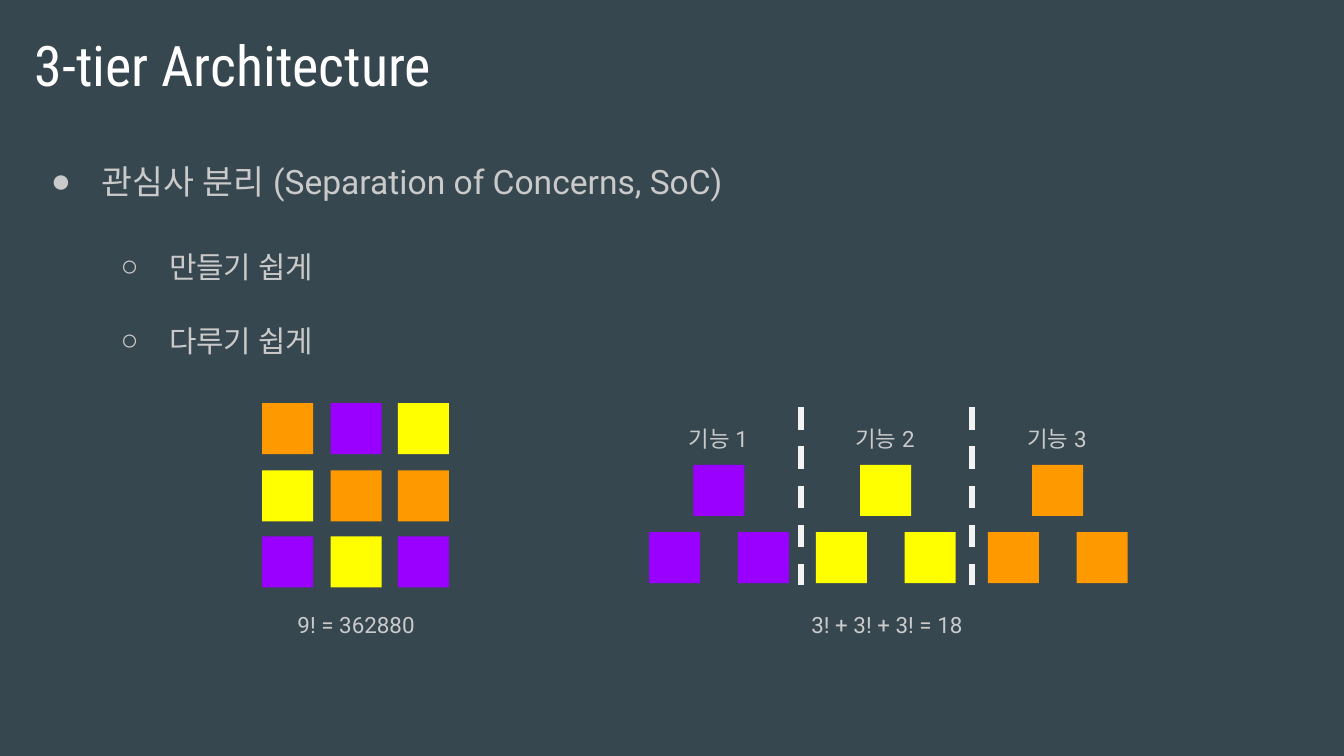
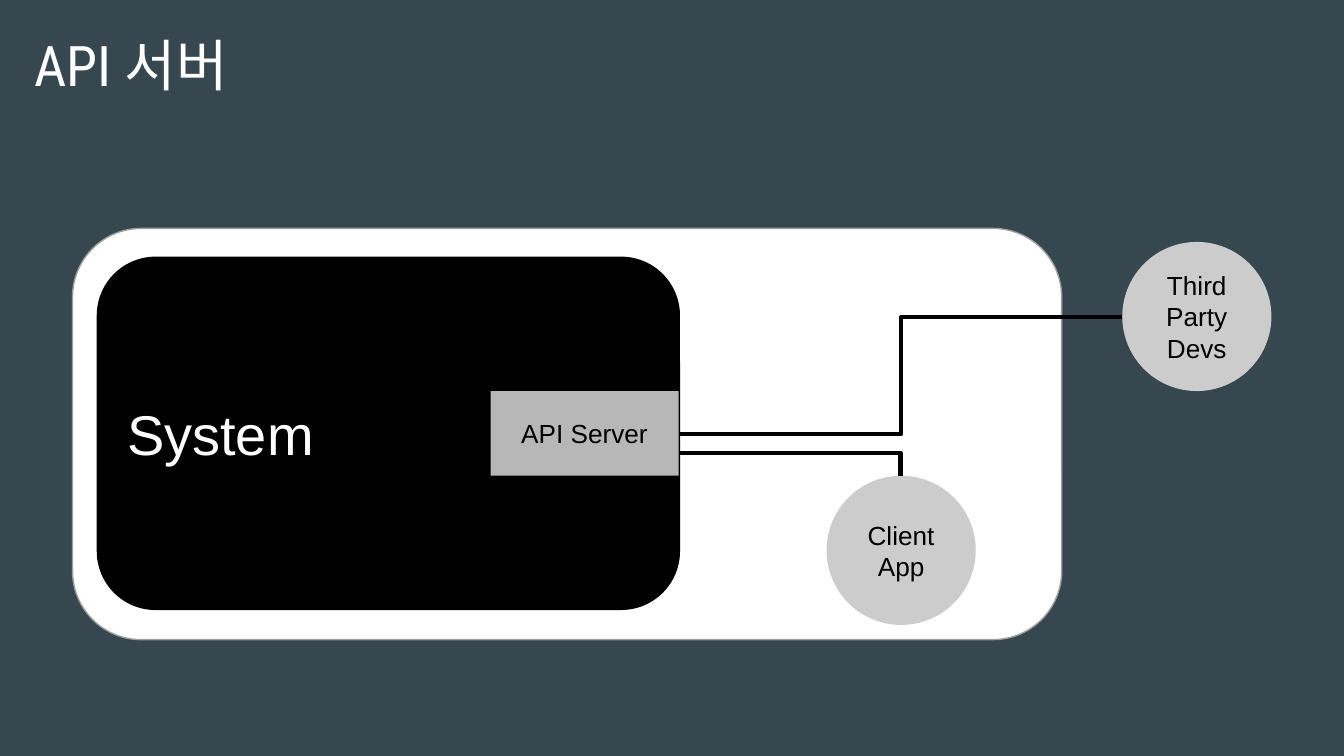
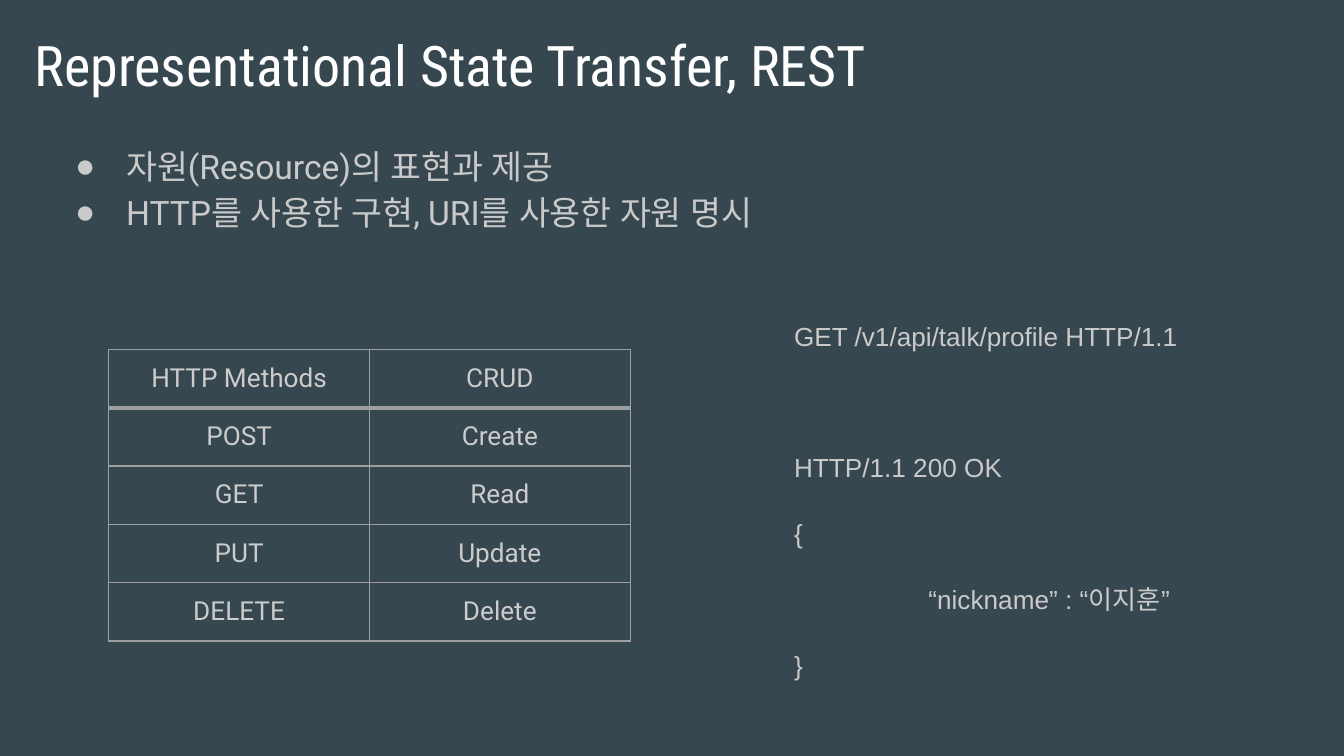
from pptx import Presentation
from pptx.dml.color import RGBColor
from pptx.enum.dml import MSO_LINE
from pptx.enum.lang import MSO_LANGUAGE_ID
from pptx.enum.shapes import MSO_CONNECTOR, MSO_SHAPE
from pptx.enum.text import MSO_ANCHOR, PP_ALIGN
from pptx.oxml.ns import qn
from pptx.util import Inches, Pt
from lxml import etree

LEFT, CENTER = PP_ALIGN.LEFT, PP_ALIGN.CENTER
TOP, MIDDLE = MSO_ANCHOR.TOP, MSO_ANCHOR.MIDDLE
RECTANGLE, ROUNDED, OVAL = MSO_SHAPE.RECTANGLE, MSO_SHAPE.ROUNDED_RECTANGLE, MSO_SHAPE.OVAL
STRAIGHT, ELBOW = MSO_CONNECTOR.STRAIGHT, MSO_CONNECTOR.ELBOW
DASH = MSO_LINE.DASH
KOREAN = MSO_LANGUAGE_ID.KOREAN

THEME = {
    "background": "37474F", "white": "FFFFFF", "black": "000000", "text": "CACACA",
    "orange": "FF9900", "yellow": "FFFF00", "purple": "9900FF", "divider": "F3F3F3",
    "server": "B7B7B7", "circle": "CCCCCC", "border": "9E9E9E",
    "bullet_font": "Arial",
    "title": ("Roboto Condensed", 30, "FFFFFF"),
    "topic": ("Roboto", 18, "CACACA"),
    "detail": ("Roboto", 16, "CACACA"),
    "caption": ("Roboto", 12, "CACACA"),
    "cell": ("Roboto", 14, "CCCCCC"),
    "message": ("Arial", 14, "CACACA"),
    "system": ("Arial", 30, "FFFFFF"),
    "label": ("Arial", 14, "000000"),
}
CENTERED = {"alignment": CENTER}
CAPTION = {"alignment": CENTER, "line_spacing": 1.15, "space_after": Pt(16)}
BODY = {"line_spacing": 1.15}


def write(frame, lines, style, formats, bullet=None, anchor=TOP):
    font_name, size, color = THEME[style]
    frame.word_wrap = True
    frame.vertical_anchor = anchor
    for side in ("left", "right", "top", "bottom"):
        setattr(frame, f"margin_{side}", Inches(0.1))
    for number, line in enumerate(lines):
        para = frame.add_paragraph() if number else frame.paragraphs[0]
        for name, value in formats.items():
            setattr(para, name, value)
        if bullet:
            symbol, margin, indent = bullet
            properties = para._p.get_or_add_pPr()
            properties.set("marL", str(Inches(margin)))
            properties.set("indent", str(Inches(indent)))
            bullet_color = etree.SubElement(properties, qn("a:buClr"))
            etree.SubElement(bullet_color, qn("a:srgbClr"), val=THEME["text"])
            etree.SubElement(properties, qn("a:buFont"), typeface=THEME["bullet_font"])
            etree.SubElement(properties, qn("a:buChar"), char=symbol)
        span = para.add_run()
        span.text = line
        span.font.name = font_name
        span.font.size = Pt(size)
        span.font.language_id = KOREAN
        span.font.color.rgb = RGBColor.from_string(color)
        etree.SubElement(span._r.get_or_add_rPr(), qn("a:ea"), typeface=font_name)


def add_box(shapes, kind, place, color):
    box = shapes.add_shape(kind, *map(Inches, place))
    box.shadow.inherit = False
    box.fill.solid()
    box.fill.fore_color.rgb = RGBColor.from_string(THEME[color])
    box.line.fill.background()
    return box


deck = Presentation()
deck.slide_width = Inches(10)
deck.slide_height = Inches(10) * 9 // 16
backdrop = deck.slide_master.background.fill
backdrop.solid()
backdrop.fore_color.rgb = RGBColor.from_string(THEME["background"])

pages = []
for title in ("3-tier Architecture", "API 서버", "Representational State Transfer, REST"):
    page = deck.slides.add_slide(deck.slide_layouts[6])
    title_box = page.shapes.add_textbox(*map(Inches, (0.16, 0.13, 9.32, 0.63)))
    write(title_box.text_frame, [title], "title", {})
    pages.append(page)
tier_page, server_page, rest_page = pages

for line, top, height, style, bullet in (
    ("관심사 분리 (Separation of Concerns, SoC)", 1.05, 0.55, "topic", ("●", 0.5, -0.38)),
    ("만들기 쉽게", 1.71, 0.55, "detail", ("○", 1, -0.36)),
    ("다루기 쉽게", 2.26, 0.55, "detail", ("○", 1, -0.36)),
):
    box = tier_page.shapes.add_textbox(*map(Inches, (0.16, top, 8.22, height)))
    write(box.text_frame, [line], style, BODY, bullet)

TILE = 0.38
mixed_tiles = tier_page.shapes.add_group_shape()
for left, colors in (
    (1.95, ("orange", "yellow", "purple")),
    (2.46, ("purple", "orange", "yellow")),
    (2.96, ("yellow", "orange", "purple")),
):
    for top, color in zip((3, 3.5, 3.99), colors):
        add_box(mixed_tiles.shapes, RECTANGLE, (left, top, TILE, TILE), color)

captions = [("9! = 362880", 1.95, 4.42, 1.4), ("3! + 3! + 3! = 18", 5.9, 4.42, 1.4)]
for number, (left, color) in enumerate(((4.83, "purple"), (6.07, "yellow"), (7.35, "orange")), 1):
    feature_tiles = tier_page.shapes.add_group_shape()
    for across, top in ((0, 3.96), (0.33, 3.46), (0.66, 3.96)):
        add_box(feature_tiles.shapes, RECTANGLE, (left + across, top, TILE, TILE), color)
    captions.append((f"기능 {number}", left + 0.06, 3.03, 0.91))

for line, left, top, width in captions:
    box = tier_page.shapes.add_textbox(*map(Inches, (left, top, width, 0.31)))
    write(box.text_frame, [line], "caption", CAPTION)

system_frame = add_box(server_page.shapes, ROUNDED, (0.54, 1.7, 7.36, 3.06), "white")
system_frame.line.color.rgb = RGBColor.from_string(THEME["border"])
system_frame.line.width = Pt(0.75)
for kind, place, color, lines, style, formats in (
    (ROUNDED, (0.72, 1.91, 4.34, 2.63), "black", ["System"], "system", {"alignment": LEFT}),
    (RECTANGLE, (3.65, 2.91, 1.4, 0.63), "server", ["API Server"], "label", CENTERED),
    (OVAL, (6.15, 3.54, 1.11, 1.11), "circle", ["Client", "App"], "label", CENTERED),
    (OVAL, (8.35, 1.8, 1.11, 1.11), "circle", ["Third", "Party", "Devs"], "label", CENTERED),
):
    box = add_box(server_page.shapes, kind, place, color)
    write(box.text_frame, lines, style, formats, anchor=MIDDLE)

for page, kind, preset, ends, color, width, dash in (
    (tier_page, STRAIGHT, "line", (5.96, 3.03, 5.96, 4.35), "divider", 3, DASH),
    (tier_page, STRAIGHT, "line", (7.23, 3.03, 7.23, 4.35), "divider", 3, DASH),
    (server_page, ELBOW, "bentConnector2", (5.06, 3.37, 6.7, 3.54), "black", 2.25, None),
    (server_page, ELBOW, "bentConnector3", (5.06, 3.23, 8.35, 2.36), "black", 2.25, None),
):
    connector = page.shapes.add_connector(kind, *map(Inches, ends))
    connector.line.color.rgb = RGBColor.from_string(THEME[color])
    connector.line.width = Pt(width)
    connector.line.dash_style = dash
    properties = connector._element.spPr
    properties.find(qn("a:prstGeom")).set("prst", preset)
    etree.SubElement(properties, qn("a:effectLst"))

resource_box = rest_page.shapes.add_textbox(*map(Inches, (0.34, 0.94, 9.32, 3.74)))
resource_lines = ["자원(Resource)의 표현과 제공", "HTTP를 사용한 구현, URI를 사용한 자원 명시"]
write(resource_box.text_frame, resource_lines, "topic", BODY, ("●", 0.5, -0.38))

message_box = rest_page.shapes.add_textbox(*map(Inches, (5.81, 2.25, 3.1, 2.83)))
message_lines = ["GET /v1/api/talk/profile HTTP/1.1", "HTTP/1.1 200 OK", "{", "“nickname” : “이지훈”", "}"]
write(message_box.text_frame, message_lines, "message", BODY)
message_paras = message_box.text_frame.paragraphs
for para, gap in zip(message_paras[1:], (51, 16, 16, 16)):
    para.space_before = Pt(gap)
message_paras[3]._p.get_or_add_pPr().set("marL", str(Inches(1)))

methods = (
    ("HTTP Methods", "CRUD"),
    ("POST", "Create"),
    ("GET", "Read"),
    ("PUT", "Update"),
    ("DELETE", "Delete"),
)
table = rest_page.shapes.add_table(5, 2, *map(Inches, (0.81, 2.6, 3.88, 2.1))).table
table.first_row = table.horz_banding = False
for row, words in enumerate(methods):
    for column, word in enumerate(words):
        cell = table.cell(row, column)
        write(cell.text_frame, [word], "cell", CENTERED)
        for side in ("left", "right", "top", "bottom"):
            setattr(cell, f"margin_{side}", Inches(0.1))
        properties = cell._tc.get_or_add_tcPr()
        for edge in ("lnL", "lnR", "lnT", "lnB"):
            heavy = (row, edge) in ((0, "lnB"), (1, "lnT"))
            border = etree.SubElement(properties, qn(f"a:{edge}"), w=str(Pt(2.25 if heavy else 0.75)))
            paint = etree.SubElement(border, qn("a:solidFill"))
            etree.SubElement(paint, qn("a:srgbClr"), val=THEME["border"])
        cell.fill.background()

deck.save("out.pptx")
